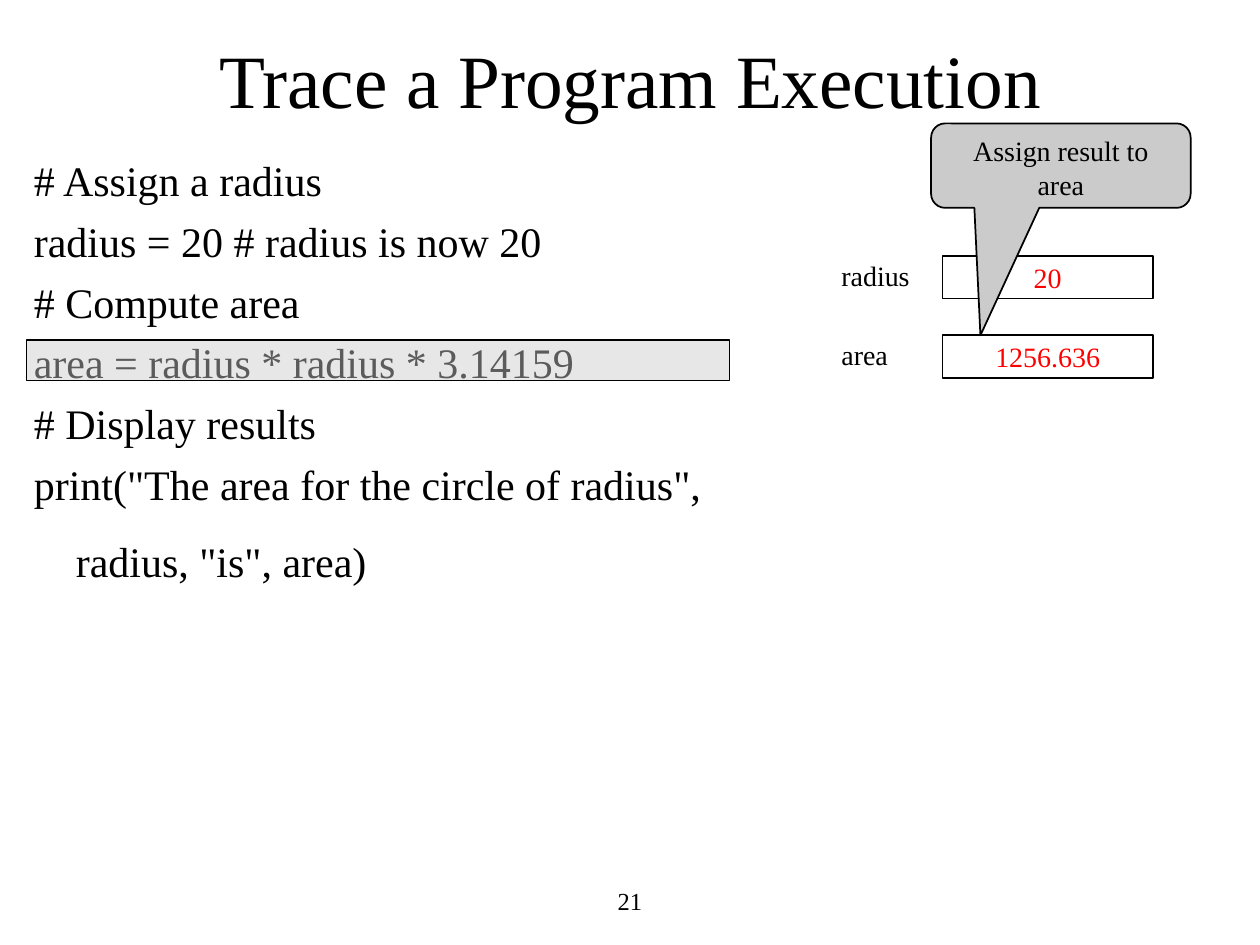
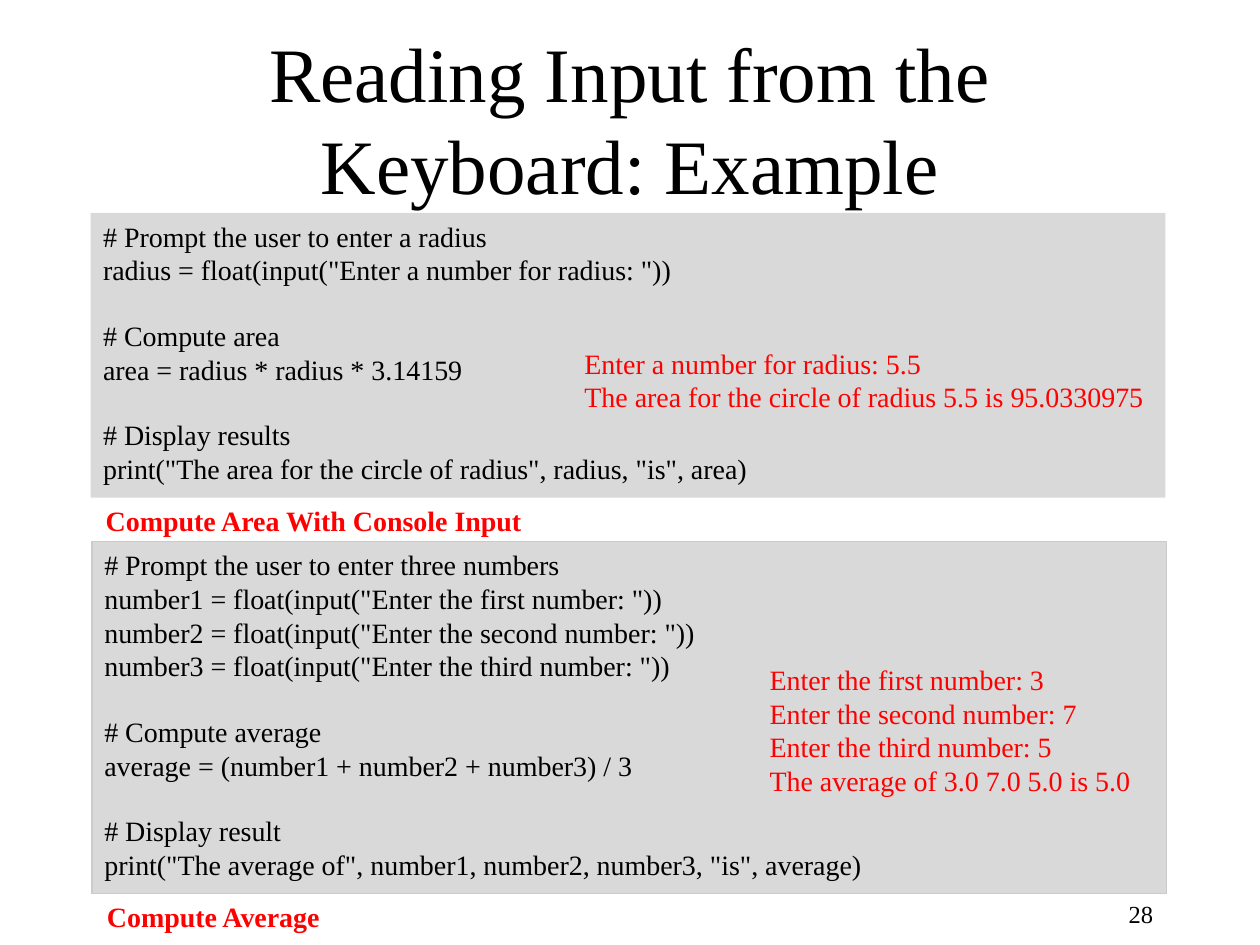
from pptx import Presentation, util as u
from pptx.dml.color import RGBColor
from pptx.enum import shapes, text
from pptx.oxml.ns import qn
from lxml import etree

BLACK = RGBColor(0x00, 0x00, 0x00)
RED = RGBColor(0xFF, 0x00, 0x00)
SILVER = RGBColor(0xCB, 0xCB, 0xCB)
PANEL = RGBColor(0xD9, 0xD9, 0xD9)
FONT = "Times New Roman"
BODY, CODE, SMALL = 24, 16, 14
BLANK_LINE = 18.4
WIDTH, HEIGHT = u.Inches(10), u.Inches(7.5)
COL, ROW = WIDTH / 100, HEIGHT / 75
LEFT, CENTER, RIGHT = text.PP_ALIGN.LEFT, text.PP_ALIGN.CENTER, text.PP_ALIGN.RIGHT
TOP, MIDDLE = text.MSO_ANCHOR.TOP, text.MSO_ANCHOR.MIDDLE
RECT = shapes.MSO_SHAPE.RECTANGLE
CALLOUT = shapes.MSO_SHAPE.ROUNDED_RECTANGULAR_CALLOUT


def place(box):
    """Turn a box in columns and rows into slide lengths."""
    x, y, w, h = box
    return [u.Emu(round(n)) for n in (x * COL, y * ROW, w * COL, h * ROW)]


def write(sp, lines, size=CODE, color=BLACK, bold=False, align=LEFT,
          anchor=TOP, wrap=True, gaps=None, inset=None):
    """Fill a shape with paragraphs; gaps maps line numbers to space before."""
    tf = sp.text_frame
    tf.word_wrap, tf.vertical_anchor = wrap, anchor
    if inset is not None:
        tf.margin_left = tf.margin_right = u.Inches(inset)
        tf.margin_top = tf.margin_bottom = u.Inches(inset)
    for i, line in enumerate(lines):
        p = tf.paragraphs[0] if i == 0 else tf.add_paragraph()
        p.alignment = align
        p.space_before = u.Pt((gaps or {}).get(i, 0))
        r = p.add_run()
        r.text = line
        r.font.name, r.font.size, r.font.bold = FONT, u.Pt(size), bold
        r.font.color.rgb = color


def add_text(s, box, *lines, **fmt):
    """Add a text box."""
    write(s.shapes.add_textbox(*place(box)), lines, **fmt)


def add_block(s, box, kind=RECT, fill=None, line=None, weight=1):
    """Add a preset shape with optional fill and outline."""
    sp = s.shapes.add_shape(kind, *place(box))
    sp.shadow.inherit = False
    if fill is None:
        sp.fill.background()
    else:
        sp.fill.solid()
        sp.fill.fore_color.rgb = fill
    if line is None:
        sp.line.fill.background()
    else:
        sp.line.color.rgb, sp.line.width = line, u.Pt(weight)
    return sp


def add_title(s, box, title, size):
    """Add the centred slide title."""
    add_text(s, box, title, size=size, align=CENTER, anchor=MIDDLE)


def add_number(s, box, number, align):
    """Add the slide number."""
    add_text(s, box, number, size=SMALL, align=align, anchor=MIDDLE)


def add_variable(s, box, name, value):
    """Add a variable name at the left of its boxed value."""
    x, y, w, h = box
    label = 9
    add_text(s, (x, y - 0.3, label, h), name)
    sp = add_block(s, (x + label, y, w - label, h), line=BLACK)
    write(sp, [value], color=RED, align=CENTER, anchor=MIDDLE, wrap=False, inset=0.01)


def add_callout(s, box, message, tip):
    """Add a speech callout whose tip is a share of its size from the centre."""
    sp = add_block(s, box, CALLOUT, SILVER, BLACK)
    sp.adjustments[0], sp.adjustments[1] = tip
    write(sp, [message], align=CENTER)


def add_highlight(s, box, opacity):
    """Add a see-through bar over the current statement."""
    sp = add_block(s, box, fill=SILVER, line=BLACK)
    rgb = sp.fill._xPr.find(qn("a:solidFill"))[0]
    etree.SubElement(rgb, qn("a:alpha")).set("val", str(opacity * 1000))


def add_example(s, box, groups, output, output_box, caption, line=None):
    """Add a code panel with its console output inside and its caption below."""
    x, y, w, h = box
    lines, gaps = [], {}
    for group in groups:
        if lines:
            gaps[len(lines)] = BLANK_LINE
        lines += group
    sp = add_block(s, box, fill=PANEL, line=line, weight=0.75)
    write(sp, lines, gaps=gaps)
    dx, dy, ow, oh = output_box
    add_text(s, (x + dx, y + dy, ow, oh), *output, color=RED, wrap=False)
    add_text(s, (x + 0.2, y + h, w / 2, 3.7), caption, color=RED, bold=True)


def build_trace(s):
    """Build the program trace slide."""
    add_number(s, (31.7, 69.5, 36.6, 4), "21", CENTER)
    add_title(s, (7.5, 3.3, 85, 5.8), "Trace a Program Execution", 43)
    program = ["# Assign a radius",
               "radius = 20 # radius is now 20",
               "# Compute area",
               "area = radius * radius * 3.14159",
               "# Display results",
               'print("The area for the circle of radius",',
               '    radius, "is", area)']
    gaps = dict.fromkeys(range(1, 6), 5.9) | {6: 15}
    add_text(s, (1.7, 11.8, 60.8, 56.6), *program, size=BODY, gaps=gaps)
    add_variable(s, (65.8, 20.3, 25.7, 3.4), "radius", "20")
    add_callout(s, (73.9, 9.8, 20.6, 6.7), "Assign result to area", (-0.31, 2.01))
    add_highlight(s, (2.1, 27, 55.8, 3.2), 45)
    add_variable(s, (65.8, 26.6, 25.7, 3.4), "area", "1256.636")


def build_examples(s):
    """Build the keyboard input slide."""
    add_title(s, (7.5, 3.1, 85, 12.5), "Reading Input from the Keyboard: Example", 44)
    add_number(s, (71.7, 70, 20.8, 5), "28", RIGHT)
    add_example(
        s, (7.2, 16.9, 85.3, 22.6),
        [["# Prompt the user to enter a radius",
          'radius = float(input("Enter a number for radius: "))'],
         ["# Compute area",
          "area = radius * radius * 3.14159"],
         ["# Display results",
          'print("The area for the circle of radius", radius, "is", area)']],
        ["Enter a number for radius: 5.5",
         "The area for the circle of radius 5.5 is 95.0330975"],
        (38.2, 10.1, 47, 6.4), "Compute Area With Console Input")
    add_example(
        s, (7.3, 43, 85.3, 27.9),
        [["# Prompt the user to enter three numbers"]
         + [f'number{i} = float(input("Enter the {nth} number: "))'
            for i, nth in enumerate(("first", "second", "third"), 1)],
         ["# Compute average",
          "average = (number1 + number2 + number3) / 3"],
         ["# Display result",
          'print("The average of", number1, number2, number3, "is", average)']],
        ["Enter the first number: 3",
         "Enter the second number: 7",
         "Enter the third number: 5",
         "The average of 3.0 7.0 5.0 is 5.0"],
        (52.8, 9.1, 31, 11.8), "Compute Average", SILVER)


def main():
    """Build and save the slides."""
    prs = Presentation()
    prs.slide_width, prs.slide_height = WIDTH, HEIGHT
    for build in (build_trace, build_examples):
        build(prs.slides.add_slide(prs.slide_layouts[6]))
    prs.save("out.pptx")


if __name__ == "__main__":
    main()
